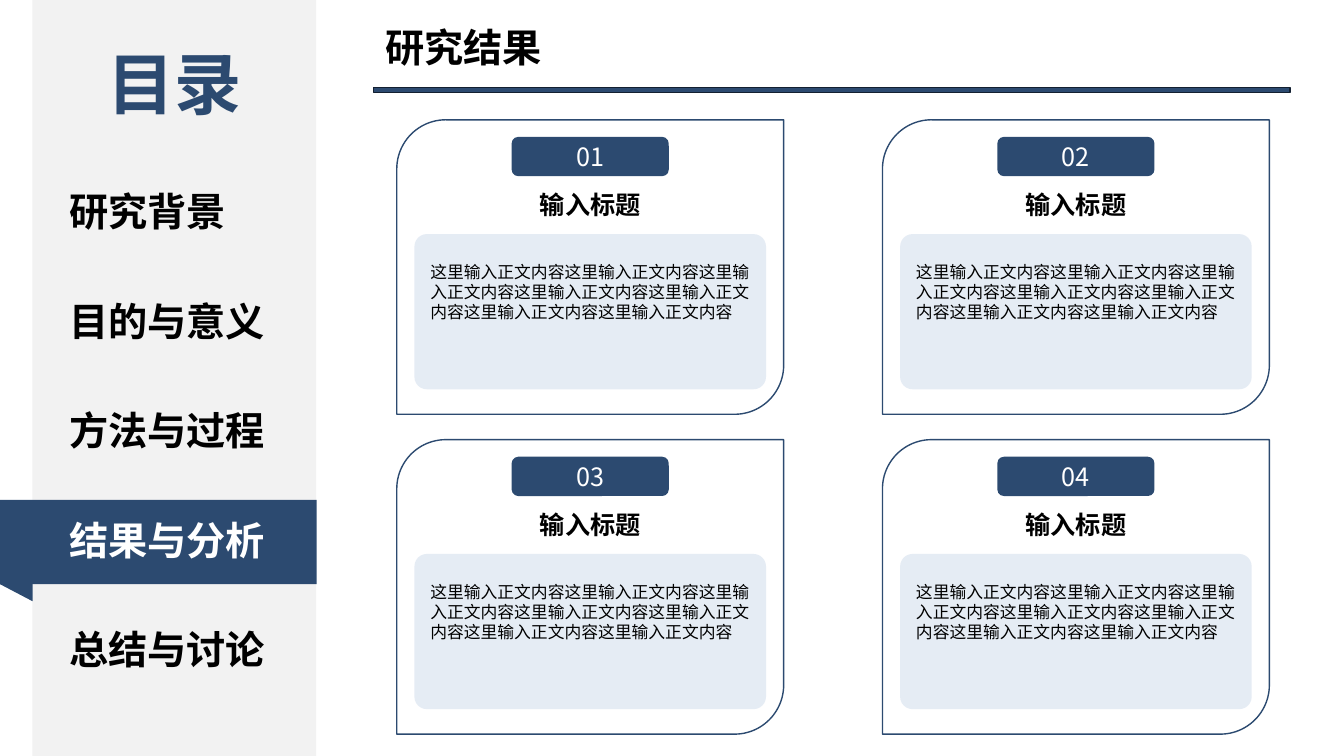
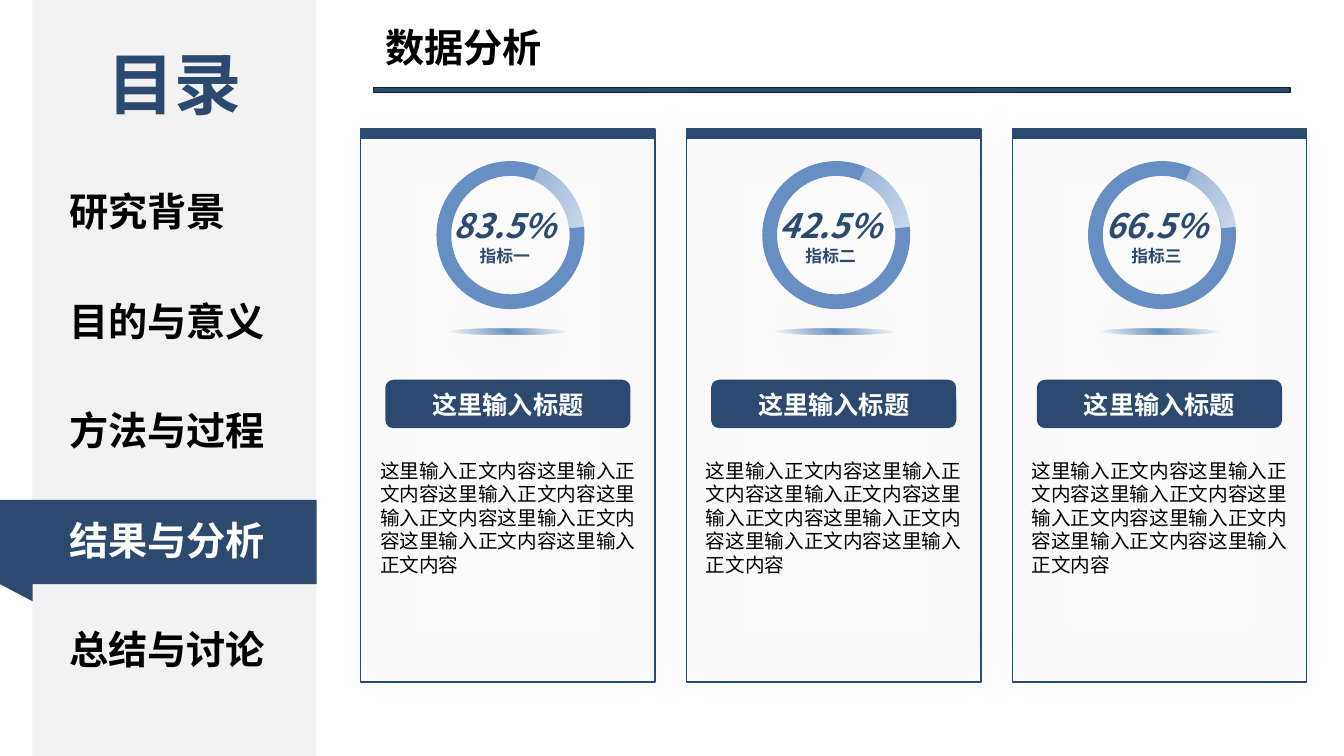
from itertools import product

from lxml import etree
from pptx import Presentation
from pptx.dml.color import RGBColor
from pptx.enum import shapes, text
from pptx.oxml import ns
from pptx.util import Cm, Pt

NAVY = RGBColor(0x2C, 0x4A, 0x70)
DARK_NAVY = RGBColor(0x13, 0x20, 0x31)
BLUE = RGBColor(0x67, 0x8F, 0xC3)
PALE_BLUE = RGBColor(0xCC, 0xDA, 0xEB)
LIGHT_GREY = RGBColor(0xF2, 0xF2, 0xF2)
WARM_GREY = RGBColor(0xE7, 0xE6, 0xE6)
GREY = RGBColor(0x80, 0x80, 0x80)
BLACK = RGBColor(0, 0, 0)
WHITE = RGBColor(0xFF, 0xFF, 0xFF)

FONT = "Noto Sans CJK SC"
KIND = shapes.MSO_SHAPE
LEFT, CENTER = text.PP_ALIGN.LEFT, text.PP_ALIGN.CENTER

CHAPTERS = ["研究背景", "目的与意义", "方法与过程", "结果与分析", "总结与讨论"]
CURRENT = 3
BODY = "这里输入正文内容" * 7
INDICATORS = [("83.5%", "指标一"), ("42.5%", "指标二"), ("66.5%", "指标三")]


def add_xml(parent, tag, **attributes):
    return etree.SubElement(parent, ns.qn(tag), attributes)


def add_colour(parent, colour, opacity):
    clr = add_xml(parent, "a:srgbClr", val=str(colour))
    add_xml(clr, "a:alpha", val=str(opacity * 1000))


def box(x, y, width, height):
    return Cm(x), Cm(y), Cm(width), Cm(height)


def style(paragraph, size, colour=BLACK, bold=False, italic=False, align=LEFT):
    paragraph.alignment = align
    for run in paragraph.runs:
        font = run.font
        font.name, font.size = FONT, Pt(size)
        font.bold, font.italic = bold, italic
        font.color.rgb = colour
        add_xml(run._r.get_or_add_rPr(), "a:ea", typeface=FONT)


def add_label(slide, place, words, size, **look):
    frame = slide.shapes.add_textbox(*place).text_frame
    frame.word_wrap = True
    frame.text = words
    style(frame.paragraphs[0], size, **look)
    return frame


def add_block(slide, kind, place, fill=None, line=None, opacity=100):
    block = slide.shapes.add_shape(kind, *place)
    block.shadow.inherit = False
    if fill is None:
        block.fill.background()
    else:
        block.fill.solid()
        block.fill.fore_color.rgb = fill
        if opacity < 100:
            clr = block._element.spPr.find(".//" + ns.qn("a:srgbClr"))
            add_xml(clr, "a:alpha", val=str(opacity * 1000))
    if line is None:
        block.line.fill.background()
    else:
        block.line.color.rgb = line
        block.line.width = Pt(1)
    return block


def add_pill(slide, place, words, bold=False):
    pill = add_block(slide, KIND.ROUNDED_RECTANGLE, place, NAVY)
    frame = pill.text_frame
    frame.vertical_anchor = text.MSO_ANCHOR.MIDDLE
    frame.text = words
    style(frame.paragraphs[0], 18, WHITE, bold, align=CENTER)


def set_glow(block, colour):
    """Give the block a soft centred shadow."""
    effects = block._element.spPr.find(ns.qn("a:effectLst"))
    shadow = add_xml(effects, "a:outerShdw", blurRad=str(Pt(40)), dist="0",
                     dir="0", algn="ctr", rotWithShape="0")
    add_colour(shadow, colour, 20)


def set_gradient(block, colour, stops):
    """Fill with (position, opacity) stops and return the gradient element."""
    properties = block._element.spPr
    solid = properties.find(ns.qn("a:solidFill"))
    gradient = etree.Element(ns.qn("a:gradFill"), rotWithShape="1")
    properties.replace(solid, gradient)
    stop_list = add_xml(gradient, "a:gsLst")
    for position, opacity in stops:
        stop = add_xml(stop_list, "a:gs", pos=str(position * 1000))
        add_colour(stop, colour, opacity)
    return gradient


def add_sidebar(slide):
    add_block(slide, KIND.RECTANGLE, box(0.82, 0, 7.15, 19.05), LIGHT_GREY)
    add_label(slide, box(1.93, 0.94, 4.93, 2.31), "目录", 48,
              colour=NAVY, bold=True, align=CENTER)
    first, step = 4.6, 2.76
    band_top, band_height = first + CURRENT * step - 0.28, 2.12
    add_block(slide, KIND.RECTANGLE, box(0, band_top, 7.98, band_height), NAVY)
    fold = add_block(slide, KIND.RIGHT_TRIANGLE,
                     box(0, band_top + band_height, 0.82, 0.43), NAVY)
    fold.rotation = 180
    for i, chapter in enumerate(CHAPTERS):
        add_label(slide, box(1.5, first + i * step, 5.61, 1.45), chapter, 28,
                  colour=WHITE if i == CURRENT else BLACK, bold=True)


def add_page(deck, heading):
    """Add a slide with the sidebar, the title and the rule under it."""
    slide = deck.slides.add_slide(deck.slide_layouts[5])
    title = slide.shapes.title
    title.left, title.top, title.width, title.height = box(9.45, 0.46, 12.52, 1.45)
    frame = title.text_frame
    frame.text = heading
    frame.auto_size = text.MSO_AUTO_SIZE.NONE
    frame.vertical_anchor = text.MSO_ANCHOR.TOP
    style(frame.paragraphs[0], 28, bold=True)
    add_sidebar(slide)
    add_block(slide, KIND.RECTANGLE, box(9.42, 2.21, 23.09, 0.13), NAVY, DARK_NAVY)
    return slide


def add_result_card(slide, x, y, width, height, number):
    def centred(top, part_width, part_height):
        return box(x + (width - part_width) / 2, y + top, part_width, part_height)

    panel = add_block(slide, KIND.ROUNDED_RECTANGLE, centred(2.88, 8.86, 3.91),
                      PALE_BLUE, opacity=50)
    panel.adjustments[0] = 0.08
    add_pill(slide, centred(0.43, 3.96, 0.99), f"{number:02}")
    add_block(slide, KIND.ROUND_2_DIAG_RECTANGLE, box(x, y, width, height), line=NAVY)
    add_label(slide, centred(1.63, 5.26, 1.02), "输入标题", 18,
              bold=True, align=CENTER)
    add_label(slide, centred(3.45, 8.56, 2.82), BODY, 12)


def add_ring(slide, x, y, value, name):
    place = box(x, y, 3.73, 3.73)
    ring = add_block(slide, KIND.DONUT, place, BLUE)
    ring.adjustments[0] = 0.1
    arc = add_block(slide, KIND.BLOCK_ARC, place, PALE_BLUE)
    for i, amount in enumerate((184.38, 4.27, 0.1)):
        arc.adjustments[i] = amount
    arc.rotation = 346
    gradient = set_gradient(arc, PALE_BLUE, [(0, 50), (100, 100)])
    add_xml(gradient, "a:lin", ang=str(45 * 60000), scaled="0")

    frame = add_label(slide, box(x - 0.13, y + 0.99, 3.71, 1.9), value, 24,
                      colour=NAVY, bold=True, italic=True, align=CENTER)
    caption = frame.add_paragraph()
    caption.text = name
    style(caption, 12, NAVY, bold=True, align=CENTER)

    base = add_block(slide, KIND.OVAL, box(x + 0.33, y + 4.22, 2.95, 0.15), BLUE)
    gradient = set_gradient(base, BLUE, [(0, 0), (50, 100), (100, 0)])
    circle = add_xml(gradient, "a:path", path="circle")
    add_xml(circle, "a:fillToRect", t="100000", r="100000")
    set_glow(base, GREY)


def add_indicator_card(slide, x, y, width, height, value, name):
    card = add_block(slide, KIND.RECTANGLE, box(x, y, width, height),
                     WARM_GREY, NAVY, opacity=5)
    set_glow(card, NAVY)
    add_ring(slide, x + 1.91, y + 0.81, value, name)
    add_pill(slide, box(x + 0.62, y + 6.32, width - 1.24, 1.22), "这里输入标题", bold=True)
    add_label(slide, box(x + 0.24, y + 8.18, width - 0.48, 3.84), BODY, 14)
    add_block(slide, KIND.RECTANGLE, box(x, y, width, 0.25), NAVY)


def build_results(deck):
    slide = add_page(deck, "研究结果")
    for number, (row, column) in enumerate(product(range(2), repeat=2), 1):
        add_result_card(slide, 10 + column * 12.24, 3.02 + row * 8.06,
                        9.75, 7.42, number)


def build_analysis(deck):
    slide = add_page(deck, "数据分析")
    for i, (value, name) in enumerate(INDICATORS):
        add_indicator_card(slide, 9.09 + i * 8.21, 3.25, 7.42, 13.94, value, name)


def main():
    deck = Presentation()
    deck.slide_width, deck.slide_height = Cm(33.87), Cm(19.05)
    build_results(deck)
    build_analysis(deck)
    deck.save("out.pptx")


if __name__ == "__main__":
    main()
